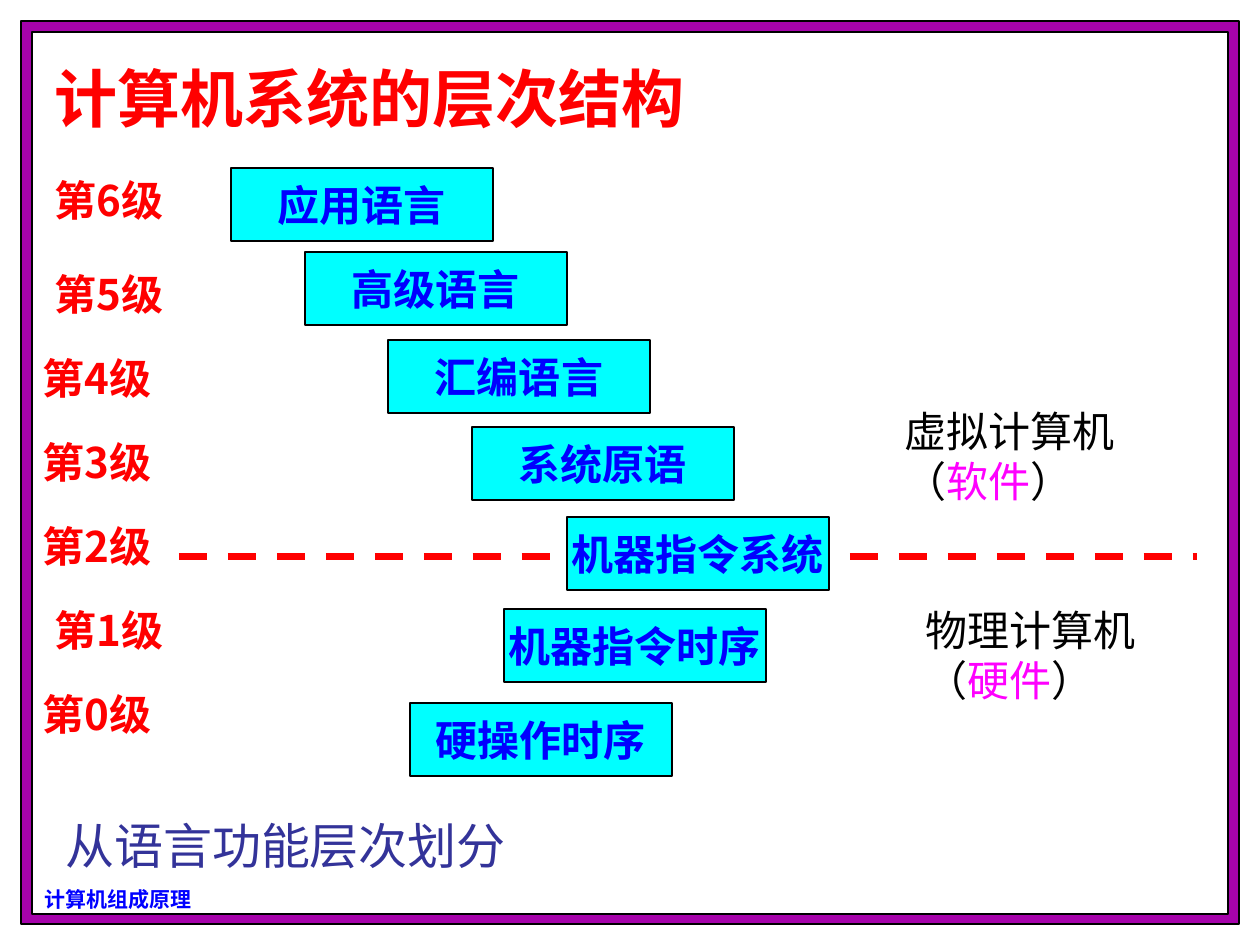
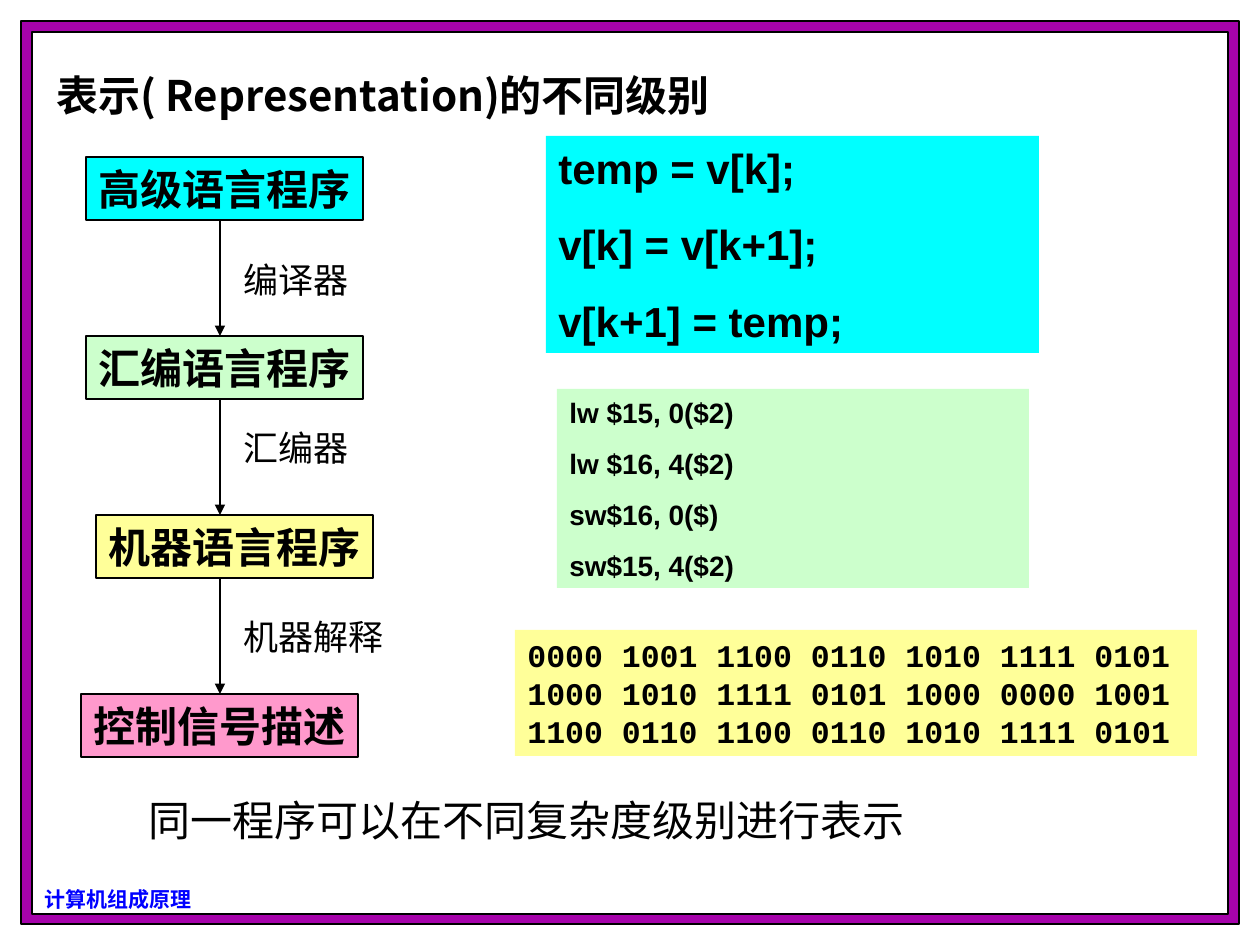
from lxml import etree
from pptx import Presentation
from pptx.dml.color import RGBColor
from pptx.enum.dml import MSO_LINE
from pptx.enum.shapes import MSO_CONNECTOR, MSO_SHAPE
from pptx.enum.text import MSO_ANCHOR, PP_ALIGN
from pptx.oxml.ns import qn
from pptx.util import Emu, Pt

RECT, PROCESS = MSO_SHAPE.RECTANGLE, MSO_SHAPE.FLOWCHART_PROCESS
STRAIGHT, DASH = MSO_CONNECTOR.STRAIGHT, MSO_LINE.DASH
LEFT, CENTER, JUSTIFY = PP_ALIGN.LEFT, PP_ALIGN.CENTER, PP_ALIGN.JUSTIFY
TOP, MIDDLE = MSO_ANCHOR.TOP, MSO_ANCHOR.MIDDLE

PX_PER_INCH = 126
SLIDE_SIZE = (1260, 945)
HAN, ROMAN, SANS, MONO = "Noto Sans CJK SC", "Times New Roman", "Arial", "Courier New"
COLORS = {
    "frame": "A603AB", "paper": "FFFFFF", "ink": "000000", "red": "FF0000",
    "blue": "0000FF", "indigo": "333399", "magenta": "FF00FF",
    "cyan": "00FFFF", "mint": "CCFFCC", "yellow": "FFFF99", "pink": "FF99CC",
}

FOOTER = "计算机组成原理"
FRAME = [("frame", (21, 21, 1218, 903)), ("paper", (32, 32, 1196, 882))]

HIERARCHY_TITLE = "计算机系统的层次结构"
HIERARCHY_NOTE = "从语言功能层次划分"
# level, label left, language, box left, box top
LEVELS = [
    (6, 42, "应用语言", 231, 168),
    (5, 42, "高级语言", 305, 252),
    (4, 30, "汇编语言", 388, 340),
    (3, 30, "系统原语", 472, 427),
    (2, 30, "机器指令系统", 567, 517),
    (1, 42, "机器指令时序", 504, 609),
    (0, 30, "硬操作时序", 410, 703),
]
LEVEL_BOX = (262, 73)
TOP_LABEL_Y, LABEL_Y, LABEL_STEP = 168, 262, 84
MACHINES = [("虚拟计算机（", "软件", 892, 399), ("物理计算机（", "硬件", 913, 598)]
DIVIDER_Y, DIVIDER_SPANS = 557, [(179, 567), (850, 1197)]

PROGRAM_TITLE = "表示( Representation)的不同级别"
PROGRAM_NOTE = "同一程序可以在不同复杂度级别进行表示"
# program, left, colour, outline
PROGRAMS = [
    ("高级语言程序", 86, "cyan", RECT),
    ("汇编语言程序", 86, "mint", PROCESS),
    ("机器语言程序", 96, "yellow", PROCESS),
    ("控制信号描述", 81, "pink", RECT),
]
PROGRAM_BOX = (277, 63)
PROGRAM_Y, PROGRAM_STEP, ARROW_X = 157, 179, 220
TRANSLATORS = [("编译器", 252), ("汇编器", 420), ("机器解释", 609)]
# lines, place, colour, font, size, space before
LISTINGS = [
    (["temp = v[k];", "v[k] = v[k+1];", "v[k+1] = temp;"],
     (546, 136, 493, 217), "cyan", SANS, 24, 15),
    (["lw $15, 0($2)", "lw $16, 4($2)", "sw$16, 0($)", "sw$15, 4($2)"],
     (557, 389, 472, 199), "mint", SANS, 16, 10),
    (["0000 1001 1100 0110 1010 1111 0101 1000 1010 1111 0101 "
      "1000 0000 1001 1100 0110 1100 0110 1010 1111 0101"],
     (515, 630, 682, 126), "yellow", MONO, 18, 0),
]


def emu(*lengths):
    return [Emu(round(length * 914400 / PX_PER_INCH)) for length in lengths]


def color(name):
    return RGBColor.from_string(COLORS[name])


def write(shape, paragraphs, size, ink="ink", font=HAN, bold=False,
          align=LEFT, anchor=TOP, gap=0, wrap=True):
    """Fill a shape; each paragraph is a list of (text, colour or None) runs."""
    frame = shape.text_frame
    frame.word_wrap = wrap
    frame.vertical_anchor = anchor
    for index, pieces in enumerate(paragraphs):
        paragraph = frame.add_paragraph() if index else frame.paragraphs[0]
        paragraph.alignment = align
        if index and gap:
            paragraph.space_before = Pt(gap)
        for text, tint in pieces:
            run = paragraph.add_run()
            run.text = text
            run.font.size = Pt(size)
            run.font.bold = bold
            run.font.color.rgb = color(tint or ink)
            run.font.name = font
            east_asian = etree.SubElement(run.font._element, qn("a:ea"))
            east_asian.set("typeface", HAN)


def add_label(slide, text, place, size, **style):
    write(slide.shapes.add_textbox(*emu(*place)), [[(text, None)]], size, **style)


def add_box(slide, place, fill, outlined=True, preset=RECT):
    box = slide.shapes.add_shape(preset, *emu(*place))
    box.shadow.inherit = False
    box.fill.solid()
    box.fill.fore_color.rgb = color(fill)
    if outlined:
        box.line.color.rgb = color("ink")
        box.line.width = Pt(0.75)
    else:
        box.line.fill.background()
    return box


def add_line(slide, start, end, ink, width, dash=None, arrow=False):
    connector = slide.shapes.add_connector(STRAIGHT, *emu(*start, *end))
    connector.line.color.rgb = color(ink)
    connector.line.width = Pt(width)
    if dash:
        connector.line.dash_style = dash
    properties = connector._element.spPr
    if arrow:
        head = etree.SubElement(properties.find(qn("a:ln")), qn("a:tailEnd"))
        head.set("type", "triangle")
    etree.SubElement(properties, qn("a:effectLst"))


def add_framed_slide(deck):
    slide = deck.slides.add_slide(deck.slide_layouts[6])
    for fill, place in FRAME:
        add_box(slide, place, fill)
    add_label(slide, FOOTER, (32, 880, 200, 38), 12, ink="blue", bold=True)
    return slide


def build_hierarchy(deck):
    slide = add_framed_slide(deck)
    add_label(slide, HIERARCHY_TITLE, (42, 53, 693, 88), 36,
              ink="red", bold=True, align=JUSTIFY)
    for start, end in DIVIDER_SPANS:
        add_line(slide, (start, DIVIDER_Y), (end, DIVIDER_Y), "red", 4, DASH)
    for level, label_x, language, x, y in LEVELS:
        label_y = TOP_LABEL_Y if level == 6 else LABEL_Y + LABEL_STEP * (5 - level)
        add_label(slide, f"第{level}级", (label_x, label_y, 179, 63), 24,
                  ink="red", bold=True)
        write(add_box(slide, (x, y, *LEVEL_BOX), "cyan"), [[(language, None)]], 24,
              ink="blue", font=ROMAN, bold=True, align=CENTER, anchor=MIDDLE, wrap=False)
    for machine, kind, x, y in MACHINES:
        write(slide.shapes.add_textbox(*emu(x, y, 252, 113)),
              [[(machine, None), (kind, "magenta"), ("）", None)]], 24)
    add_label(slide, HIERARCHY_NOTE, (53, 809, 500, 72), 28, ink="indigo", font=ROMAN)


def build_programs(deck):
    slide = add_framed_slide(deck)
    add_label(slide, PROGRAM_TITLE, (44, 63, 800, 63), 24, bold=True)
    for lines, place, fill, font, size, gap in LISTINGS:
        write(add_box(slide, place, fill, outlined=False),
              [[(line, None)] for line in lines], size, font=font, bold=True, gap=gap)
    for index, (program, x, fill, preset) in enumerate(PROGRAMS):
        y = PROGRAM_Y + PROGRAM_STEP * index
        write(add_box(slide, (x, y, *PROGRAM_BOX), fill, preset=preset),
              [[(program, None)]], 24, bold=True, align=CENTER, anchor=MIDDLE, wrap=False)
    for index, (translator, y) in enumerate(TRANSLATORS):
        top = PROGRAM_Y + PROGRAM_STEP * index
        add_line(slide, (ARROW_X, top + PROGRAM_BOX[1]), (ARROW_X, top + PROGRAM_STEP),
                 "ink", 0.75, arrow=True)
        add_label(slide, translator, (231, y, 200, 55), 20)
    add_label(slide, PROGRAM_NOTE, (136, 788, 850, 63), 24)


def main():
    deck = Presentation()
    deck.slide_width, deck.slide_height = emu(*SLIDE_SIZE)
    build_hierarchy(deck)
    build_programs(deck)
    deck.save("out.pptx")


if __name__ == "__main__":
    main()
